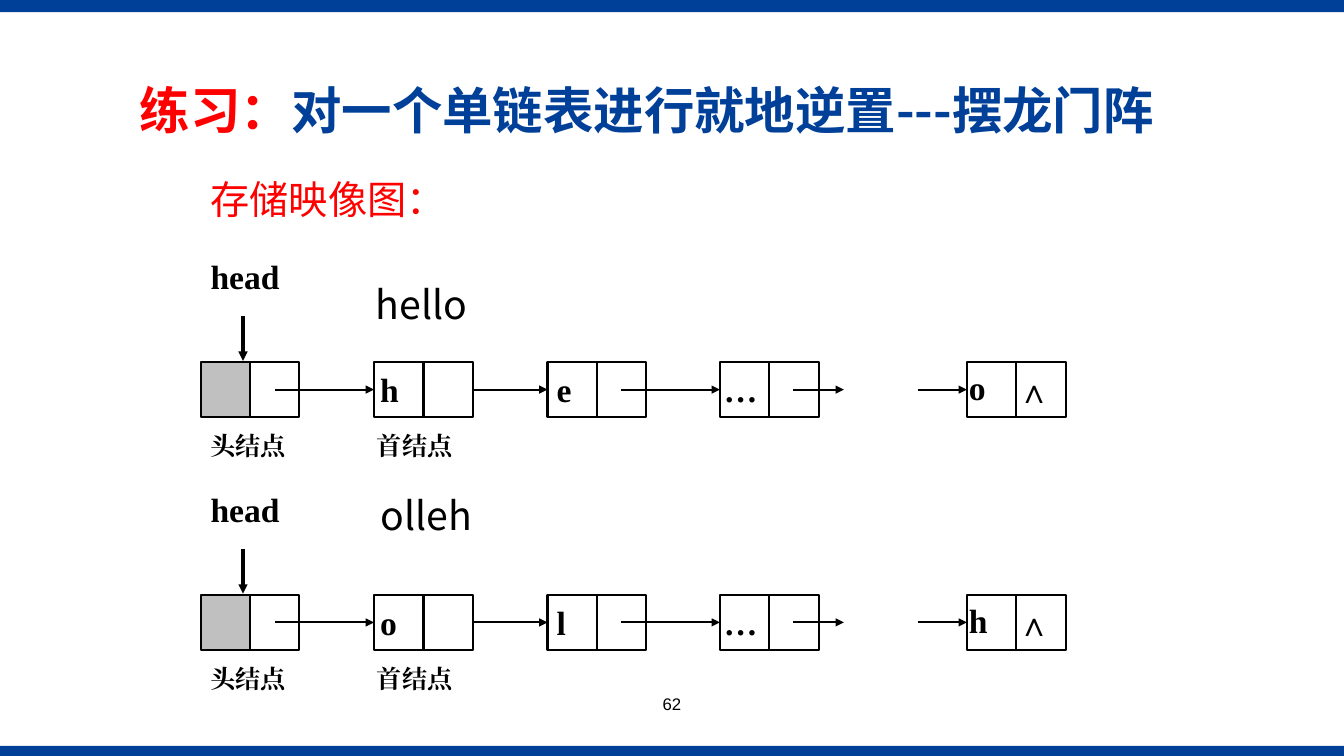
from pptx import Presentation
from pptx.dml.color import RGBColor
from pptx.enum.shapes import MSO_CONNECTOR as CONN, MSO_SHAPE as SHAPE
from pptx.enum.text import MSO_ANCHOR as ANCHOR, PP_ALIGN as ALIGN
from pptx.oxml.ns import qn
from pptx.util import Inches, Pt
from lxml import etree

BLUE, RED, BLACK, GRAY = "004098", "FF0000", "000000", "C0C0C0"
SANS, SERIF = "Noto Sans CJK SC", "Times New Roman"
CELL_W, CELL_H = 0.49, 0.55

prs = Presentation()
prs.slide_width, prs.slide_height = Inches(13.33), Inches(7.5)
s = prs.slides.add_slide(prs.slide_layouts[6])


def color(value):
    return RGBColor.from_string(value)


def text(runs, x, y, w, h, size=24, font=SERIF, bold=False, inset=True,
         align=ALIGN.LEFT, anchor=ANCHOR.TOP, spacing=None):
    """Add a text box; runs is a list of (text, colour) pairs."""
    tf = s.shapes.add_textbox(Inches(x), Inches(y), Inches(w), Inches(h)).text_frame
    tf.word_wrap = True
    tf.vertical_anchor = anchor
    if not inset:
        tf.margin_left = tf.margin_right = tf.margin_top = tf.margin_bottom = 0
    p = tf.paragraphs[0]
    p.alignment = align
    p.line_spacing = spacing
    for words, c in runs:
        r = p.add_run()
        r.text = words
        r.font.size, r.font.bold, r.font.name = Pt(size), bold, font
        r.font.color.rgb = color(c)
        etree.SubElement(r._r.get_or_add_rPr(), qn("a:ea"), typeface=font)


# Bars at the top and bottom edges
for y, h in [(0, 0.12), (7.4, 0.1)]:
    bar = s.shapes.add_shape(SHAPE.RECTANGLE, 0, Inches(y), prs.slide_width, Inches(h))
    bar.shadow.inherit = False
    bar.fill.solid()
    bar.fill.fore_color.rgb = color(BLUE)
    bar.line.fill.background()

# Title, subtitle and page number
text([("练习：", RED), ("对一个单链表进行就地逆置---摆龙门阵", BLUE)], 1.29, 0.5, 10.76, 1.25,
     size=36, font=SANS, bold=True, anchor=ANCHOR.MIDDLE, spacing=0.9)
text([("存储映像图：", RED)], 1.99, 1.69, 3.43, 0.57, size=28, font=SANS)
text([("62", BLACK)], 5.08, 6.83, 3.17, 0.5, size=12, font="Arial", align=ALIGN.CENTER)

# Linked lists: top of the cells, word with its place, first and last letters
node_xs = [1.99, 3.71, 5.43, 7.14, 9.59]
lists = [
    (3.59, "hello", 3.63, 2.73, "h", "e", "o"),
    (5.9, "olleh", 3.68, 4.83, "o", "l", "h"),
]
for top, word, word_x, word_y, first, second, last in lists:
    mid = top + CELL_H / 2

    # Nodes: a data cell and a pointer cell each
    nodes = []
    for x in node_xs:
        cells = []
        for left in (x, x + CELL_W):
            sp = s.shapes.add_shape(SHAPE.RECTANGLE, Inches(left), Inches(top),
                                    Inches(CELL_W), Inches(CELL_H))
            sp.shadow.inherit = False
            sp.fill.background()
            sp.line.color.rgb = color(BLACK)
            sp.line.width = Pt(1.5)
            cells.append(sp)
        nodes.append(cells)
    nodes[0][0].fill.solid()
    nodes[0][0].fill.fore_color.rgb = color(GRAY)

    # Arrows: start, end, width, cell left from its side, cell reached
    arrows = [
        ((2.73, mid), (3.71, mid), 1.5, None, nodes[1][0]),
        ((4.69, mid), (5.43, mid), 1.5, nodes[1][1], nodes[2][0]),
        ((6.16, mid), (7.14, mid), 1.5, None, nodes[3][0]),
        ((7.87, mid), (8.37, mid), 1.5, None, None),
        ((9.1, mid), (9.59, mid), 1.5, None, nodes[4][0]),
        ((2.41, top - 0.45), (2.41, top - 0.01), 2.25, None, None),
    ]
    for (x1, y1), (x2, y2), width, source, target in arrows:
        arrow = s.shapes.add_connector(CONN.STRAIGHT, Inches(x1), Inches(y1),
                                       Inches(x2), Inches(y2))
        if source is not None:
            arrow.begin_connect(source, 3)
        if target is not None:
            arrow.end_connect(target, 1)
        arrow.line.color.rgb = color(BLACK)
        arrow.line.width = Pt(width)
        etree.SubElement(arrow.line._get_or_add_ln(), qn("a:tailEnd"), type="triangle")
        etree.SubElement(arrow._element.spPr, qn("a:effectLst"))

    # Cell values
    for value, x, dy in [(first, 3.77, 0.07), (second, 5.52, 0.07), ("…", 7.18, 0.07),
                         (last, 9.61, 0.05), ("∧", 10.09, 0.08)]:
        text([(value, BLACK)], x, top + dy, 0.37, 0.47, bold=True, inset=False)

    # Labels around the list
    text([("head", BLACK)], 1.99, top - 1.1, 1.04, 0.66, bold=True)
    for label, x in [("头结点", 1.99), ("首结点", 3.64)]:
        text([(label, BLACK)], x, top + 0.63, 1.02, 0.4, size=18, bold=True)
    text([(word, BLACK)], word_x, word_y, 1.4, 0.57, size=28, font=SANS)

prs.save("out.pptx")
